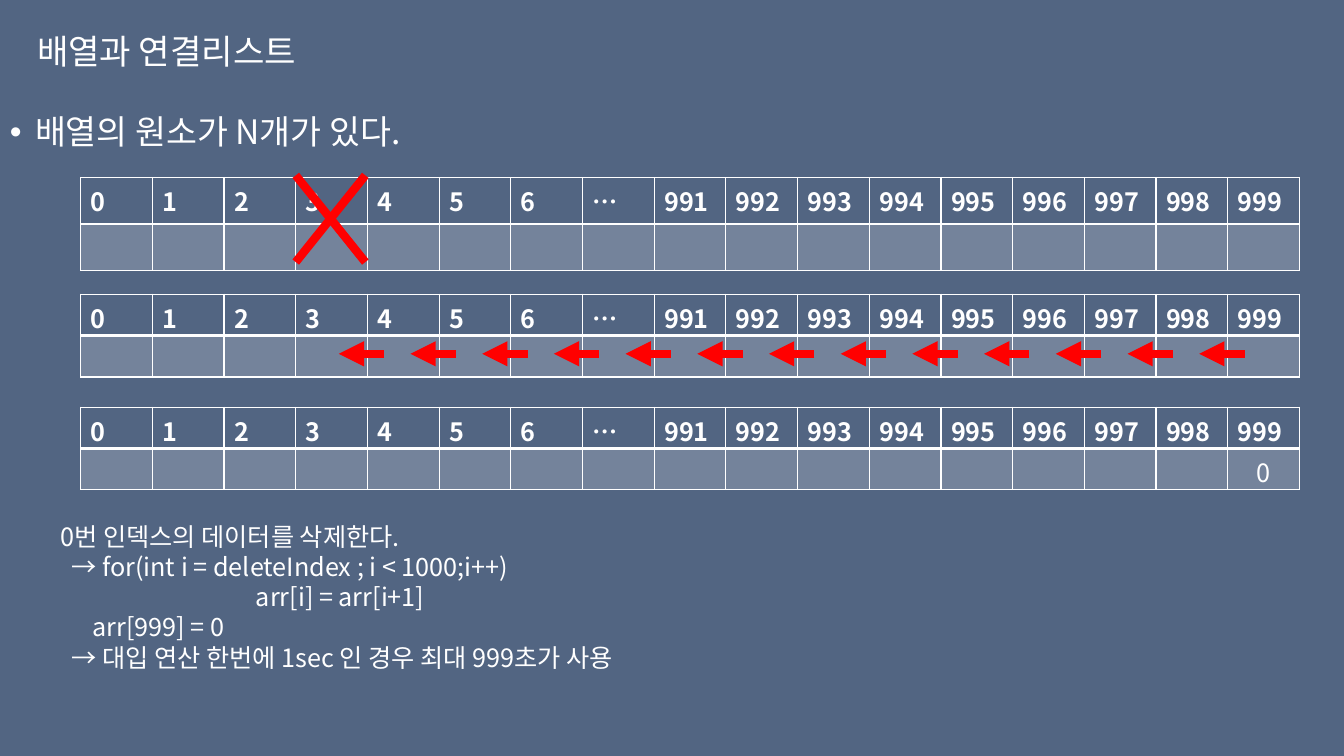
"""Builds the slide about deleting one element from an array."""
from lxml.etree import SubElement
from pptx import Presentation
from pptx.dml.color import RGBColor
from pptx.enum.shapes import MSO_CONNECTOR
from pptx.enum.text import MSO_ANCHOR, PP_ALIGN
from pptx.oxml.ns import qn
from pptx.util import Inches, Pt

COLORS = {"background": "526582", "white": "FFFFFF", "red": "FF0000"}
FONT = "Noto Sans CJK KR"
WIDTH, HEIGHT = 13.33, 7.5

TITLE = "배열과 연결리스트"
BULLET = "배열의 원소가 N개가 있다."
INDEXES = [*range(7), "…", *range(991, 1000)]
EXPLANATION = [
    (0.06, "0번 인덱스의 데이터를 삭제한다."),
    (0.17, "→ for(int i = deleteIndex ; i < 1000;i++)"),
    (2.0, "arr[i] = arr[i+1]"),
    (0.38, "arr[999] = 0"),
    (0.17, "→ 대입 연산 한번에 1sec 인 경우 최대 999초가 사용"),
]
ARRAYS = [(1.76, 0.46, ""), (2.92, 0.41, ""), (4.04, 0.41, "0")]

ARRAY_LEFT, ARRAY_WIDTH = 0.8, 12.09
COLUMN = ARRAY_WIDTH / len(INDEXES)
DELETED = 3
ARROW_COUNT, ARROW_LENGTH, ARROW_Y = 13, 0.45, 3.51


def color(name):
    return RGBColor.from_string(COLORS[name])


def add_span(para, text, size, bold=False):
    span = para.add_run()
    span.text = text
    span.font.size, span.font.bold, span.font.name = Pt(size), bold, FONT
    span.font.color.rgb = color("white")
    SubElement(span.font._element, qn("a:ea"), typeface=FONT)


def add_box(page, left, top, width, height):
    box = page.shapes.add_textbox(*map(Inches, (left, top, width, height)))
    box.text_frame.word_wrap = True
    return box.text_frame


def indent(para, left, first=0):
    properties = para._p.get_or_add_pPr()
    properties.set("marL", str(Inches(left)))
    properties.set("indent", str(Inches(first)))
    return properties


def style_cell(cell, row):
    cell.vertical_anchor = MSO_ANCHOR.TOP
    cell.margin_bottom = 0
    properties = cell._tc.get_or_add_tcPr()
    thick_side = "lnT" if row else "lnB"
    for side in ("lnL", "lnR", "lnT", "lnB"):
        border = SubElement(properties, qn(f"a:{side}"), w=str(Pt(2 if side == thick_side else 1)))
        fill = SubElement(border, qn("a:solidFill"))
        SubElement(fill, qn("a:srgbClr"), val=COLORS["white"])
    if row:
        fill = SubElement(properties, qn("a:solidFill"))
        tint = SubElement(fill, qn("a:srgbClr"), val=COLORS["white"])
        SubElement(tint, qn("a:alpha"), val="20000")
    else:
        SubElement(properties, qn("a:noFill"))


def add_array(page, top, row_height, last_value):
    frame = page.shapes.add_table(2, len(INDEXES), Inches(ARRAY_LEFT), Inches(top),
                                  Inches(ARRAY_WIDTH), Inches(2 * row_height))
    table = frame.table
    table.horz_banding = False
    for column, index in enumerate(INDEXES):
        table.columns[column].width = Inches(COLUMN)
        header, value = table.cell(0, column), table.cell(1, column)
        add_span(header.text_frame.paragraphs[0], str(index), 18, True)
        value.text_frame.paragraphs[0].font.size = Pt(18)
        for row, cell in enumerate((header, value)):
            style_cell(cell, row)
    if last_value:
        para = value.text_frame.paragraphs[0]
        para.alignment = PP_ALIGN.CENTER
        add_span(para, last_value, 18)


def add_line(page, start, end, arrow=False):
    line = page.shapes.add_connector(MSO_CONNECTOR.STRAIGHT, *map(Inches, (*start, *end)))
    line.line.color.rgb, line.line.width = color("red"), Pt(6)
    if arrow:
        SubElement(line.line._get_or_add_ln(), qn("a:tailEnd"), type="triangle")
    SubElement(line._element.spPr, qn("a:effectLst"))


def main():
    deck = Presentation()
    deck.slide_width, deck.slide_height = Inches(WIDTH), Inches(HEIGHT)
    page = deck.slides.add_slide(deck.slide_layouts[6])
    page.background.fill.solid()
    page.background.fill.fore_color.rgb = color("background")

    title = add_box(page, 0.27, 0.3, 4.96, 0.49).paragraphs[0]
    title.line_spacing = 0.9
    add_span(title, TITLE, 24.4)

    bullet = add_box(page, 0, 1.1, 12.73, 0.6).paragraphs[0]
    bullet.line_spacing, bullet.space_before = 0.9, Pt(10)
    properties = indent(bullet, 0.25, -0.25)
    SubElement(properties, qn("a:buFont"), typeface="Arial")
    SubElement(properties, qn("a:buChar"), char="•")
    add_span(bullet, BULLET, 24)

    for array in ARRAYS:
        add_array(page, *array)

    left = ARRAY_LEFT + DELETED * COLUMN
    right, top, bottom = left + 0.69, 1.74, 2.6
    add_line(page, (left, top), (right, bottom))
    add_line(page, (right, top), (left, bottom))
    for step in range(ARROW_COUNT):
        tip = 3.36 + step * COLUMN
        add_line(page, (tip + ARROW_LENGTH, ARROW_Y), (tip, ARROW_Y), arrow=True)

    explanation = add_box(page, 0.44, 5.12, 6.66, 1.92)
    for number, (offset, text) in enumerate(EXPLANATION):
        para = explanation.add_paragraph() if number else explanation.paragraphs[0]
        indent(para, offset)
        add_span(para, text, 18)

    deck.save("out.pptx")


if __name__ == "__main__":
    main()
